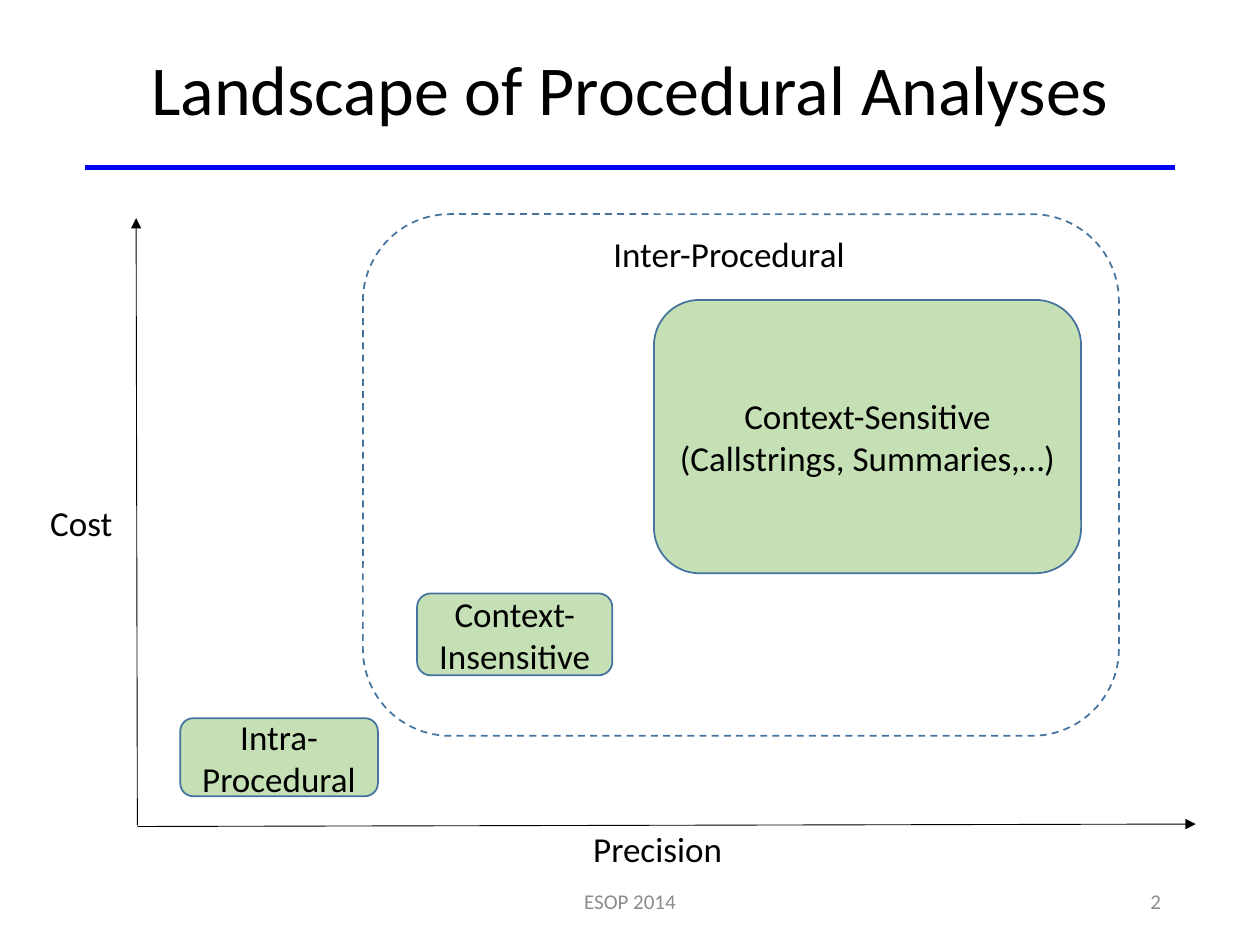
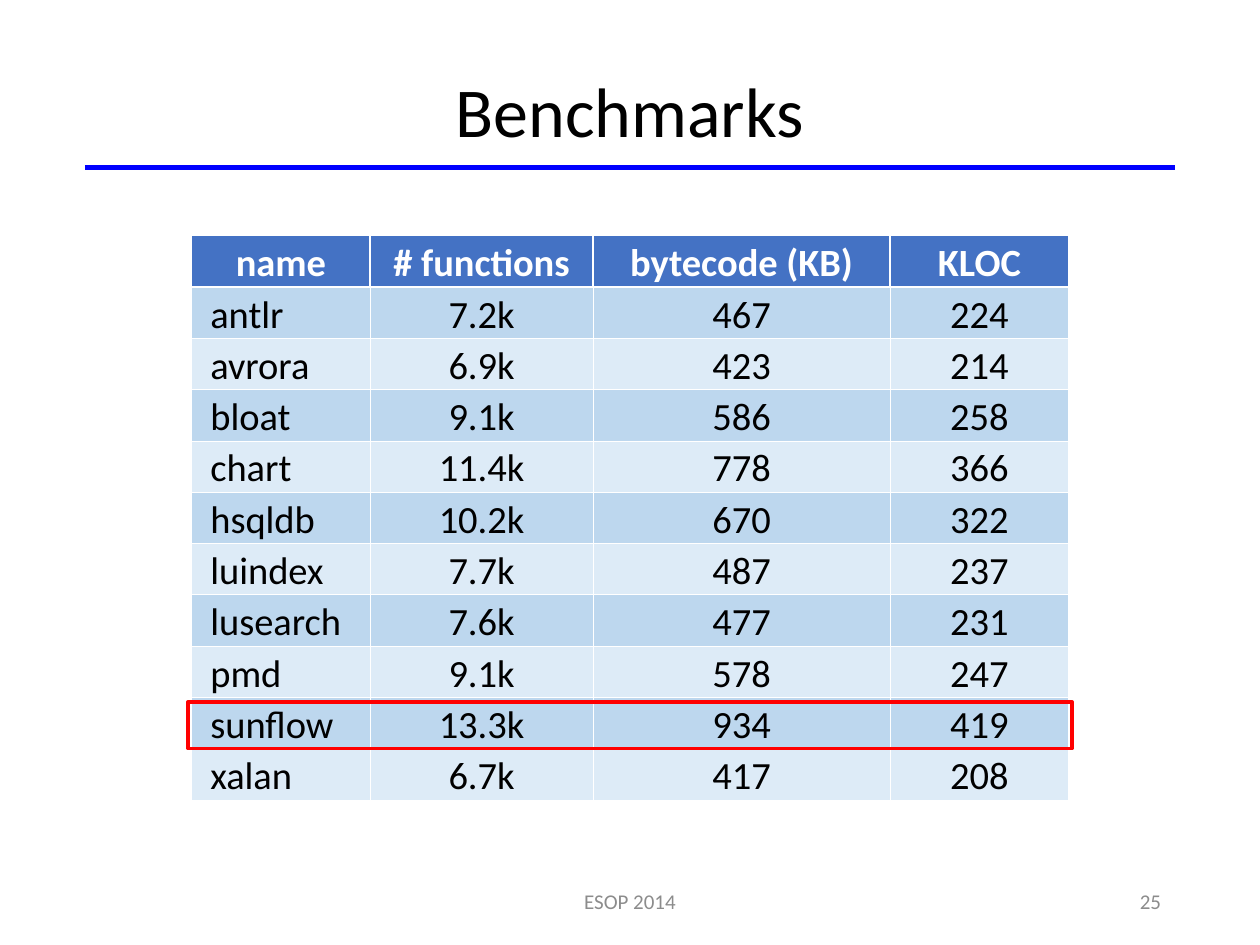
from lxml.etree import SubElement
from pptx import Presentation
from pptx.dml.color import RGBColor
from pptx.enum.dml import MSO_LINE
from pptx.enum.shapes import MSO_CONNECTOR, MSO_SHAPE
from pptx.enum.text import MSO_ANCHOR, PP_ALIGN
from pptx.oxml.ns import qn
from pptx.util import Pt

FONT = "Calibri"
COLORS = {
    "text": "000000", "footer": "8C8C8C", "rule": "0000FF", "outline": "43739E",
    "analysis": "C5E0B4", "header": "4472C4", "odd": "BDD7EE", "even": "DDEBF7",
    "white": "FFFFFF", "highlight": "FF0000",
}
CONFERENCE = "ESOP 2014"
LEFT, CENTER, RIGHT = PP_ALIGN.LEFT, PP_ALIGN.CENTER, PP_ALIGN.RIGHT

LANDSCAPE = {"title": "Landscape of Procedural Analyses", "number": "2", "title_box": (49.7, 11.5, 620.6, 82.8)}
BENCHMARKS = {"title": "Benchmarks", "number": "25", "title_box": (49.7, 28.8, 620.6, 73.4)}

INTER_PROCEDURAL = (207.4, 122.4, 432, 298.1)
ANALYSES = [
    (["Intra-Procedural"], (103, 410.4, 113, 44.6), True),
    (["Context-Insensitive"], (238.3, 339.1, 111.6, 46.8), True),
    (["Context-Sensitive", "(Callstrings, Summaries,…)"], (373.7, 171.4, 244.1, 156.2), False),
]
LABELS = [
    ("Cost", (21.6, 283, 56.2, 31.7)),
    ("Inter-Procedural", (343.4, 129.6, 164.9, 31.7)),
    ("Precision", (331.9, 469.4, 91.4, 31.7)),
]
AXES = [(78.5, 471.6, 77.8, 124.6), (78.5, 472.3, 683.3, 470.9)]

HEADINGS = ("name", "# functions", "bytecode (KB)", "KLOC")
PROGRAMS = [
    ("antlr", "7.2k", "467", "224"),
    ("avrora", "6.9k", "423", "214"),
    ("bloat", "9.1k", "586", "258"),
    ("chart", "11.4k", "778", "366"),
    ("hsqldb", "10.2k", "670", "322"),
    ("luindex", "7.7k", "487", "237"),
    ("lusearch", "7.6k", "477", "231"),
    ("pmd", "9.1k", "578", "247"),
    ("sunflow", "13.3k", "934", "419"),
    ("xalan", "6.7k", "417", "208"),
]
LARGEST = "sunflow"
COLUMN_WIDTHS = (102, 127.4, 169.8, 102)
ROW_HEIGHT = 29.33
TABLE_LEFT, TABLE_TOP = 109.5, 134.7


def points(box):
    return [Pt(value) for value in box]


def color(name):
    return RGBColor.from_string(COLORS[name])


def write(frame, lines, size, ink="text", align=LEFT, bold=False, spacing=None):
    for index, line in enumerate(lines):
        paragraph = frame.add_paragraph() if index else frame.paragraphs[0]
        paragraph.alignment = align
        paragraph.line_spacing = spacing
        run = paragraph.add_run()
        run.text = line
        run.font.name = FONT
        run.font.size = Pt(size)
        run.font.bold = bold
        run.font.color.rgb = color(ink)


def add_label(slide, text, box, size=20, ink="text", align=LEFT, anchor=MSO_ANCHOR.TOP):
    frame = slide.shapes.add_textbox(*points(box)).text_frame
    frame.word_wrap = True
    frame.vertical_anchor = anchor
    write(frame, [text], size, ink, align)


def add_line(slide, ends, ink, width, arrow=False):
    connector = slide.shapes.add_connector(MSO_CONNECTOR.STRAIGHT, *points(ends))
    connector.line.color.rgb = color(ink)
    connector.line.width = Pt(width)
    if arrow:
        SubElement(connector.line._get_or_add_ln(), qn("a:tailEnd"), type="triangle")
    SubElement(connector._element.spPr, qn("a:effectLst"))


def add_box(slide, preset, box, ink, width, fill=None):
    shape = slide.shapes.add_shape(preset, *points(box))
    shape.shadow.inherit = False
    shape.line.color.rgb = color(ink)
    shape.line.width = Pt(width)
    if fill:
        shape.fill.solid()
        shape.fill.fore_color.rgb = color(fill)
    else:
        shape.fill.background()
    return shape


def add_slide(deck, content):
    slide = deck.slides.add_slide(deck.slide_layouts[5])
    title = slide.shapes.title
    title.left, title.top, title.width, title.height = points(content["title_box"])
    title.text_frame.vertical_anchor = MSO_ANCHOR.MIDDLE
    write(title.text_frame, [content["title"]], 40, align=CENTER, spacing=0.9)
    add_line(slide, (48.5, 95.8, 671.5, 95.8), "rule", 3)
    for text, left, width, align in [(CONFERENCE, 238.5, 243, CENTER), (content["number"], 508.5, 162, RIGHT)]:
        add_label(slide, text, (left, 500.5, width, 28.8), 12, "footer", align, MSO_ANCHOR.MIDDLE)
    return slide


def add_landscape(deck):
    slide = add_slide(deck, LANDSCAPE)
    region = add_box(slide, MSO_SHAPE.ROUNDED_RECTANGLE, INTER_PROCEDURAL, "outline", 1)
    region.line.dash_style = MSO_LINE.DASH
    for lines, box, wraps in ANALYSES:
        analysis = add_box(slide, MSO_SHAPE.ROUNDED_RECTANGLE, box, "outline", 1, "analysis")
        frame = analysis.text_frame
        frame.word_wrap = wraps
        frame.vertical_anchor = MSO_ANCHOR.MIDDLE
        write(frame, lines, 20, align=CENTER)
    for text, box in LABELS:
        add_label(slide, text, box)
    for ends in AXES:
        add_line(slide, ends, "text", 0.5, arrow=True)


def add_borders(cell, widths):
    properties = cell._tc.get_or_add_tcPr()
    for index, (side, width) in enumerate(widths.items()):
        border = properties.makeelement(qn(f"a:{side}"), {"w": str(Pt(width))})
        SubElement(SubElement(border, qn("a:solidFill")), qn("a:srgbClr"), val=COLORS["white"])
        properties.insert(index, border)


def add_benchmarks(deck):
    slide = add_slide(deck, BENCHMARKS)
    rows = [HEADINGS] + PROGRAMS
    table_width = sum(COLUMN_WIDTHS)
    box = (TABLE_LEFT, TABLE_TOP, table_width, ROW_HEIGHT * len(rows))
    table = slide.shapes.add_table(len(rows), len(HEADINGS), *points(box)).table
    for column, width in zip(table.columns, COLUMN_WIDTHS):
        column.width = Pt(width)
    for r, values in enumerate(rows):
        table.rows[r].height = Pt(ROW_HEIGHT)
        heading = r == 0
        band = "header" if heading else "odd" if r % 2 else "even"
        for c, value in enumerate(values):
            cell = table.cell(r, c)
            is_name = c == 0 and not heading
            cell.margin_left = Pt(10.7 if is_name else 0.7)
            cell.margin_right = cell.margin_top = Pt(0.7)
            cell.margin_bottom = 0
            cell.vertical_anchor = MSO_ANCHOR.BOTTOM
            cell.fill.solid()
            cell.fill.fore_color.rgb = color(band)
            side = 1 if heading else 0.5
            add_borders(cell, {"lnL": side, "lnR": side, "lnT": 1 if r == 1 else 0.5, "lnB": side})
            write(cell.text_frame, [value], 22, "white" if heading else "text",
                  LEFT if is_name else CENTER, heading)
    largest_row = [row[0] for row in rows].index(LARGEST)
    highlight = (TABLE_LEFT - 2, TABLE_TOP + largest_row * ROW_HEIGHT + 2.4, table_width + 4, ROW_HEIGHT - 2.7)
    add_box(slide, MSO_SHAPE.RECTANGLE, highlight, "highlight", 2)


def main():
    deck = Presentation()
    deck.slide_width, deck.slide_height = Pt(720), Pt(540)
    add_landscape(deck)
    add_benchmarks(deck)
    deck.save("out.pptx")


if __name__ == "__main__":
    main()
